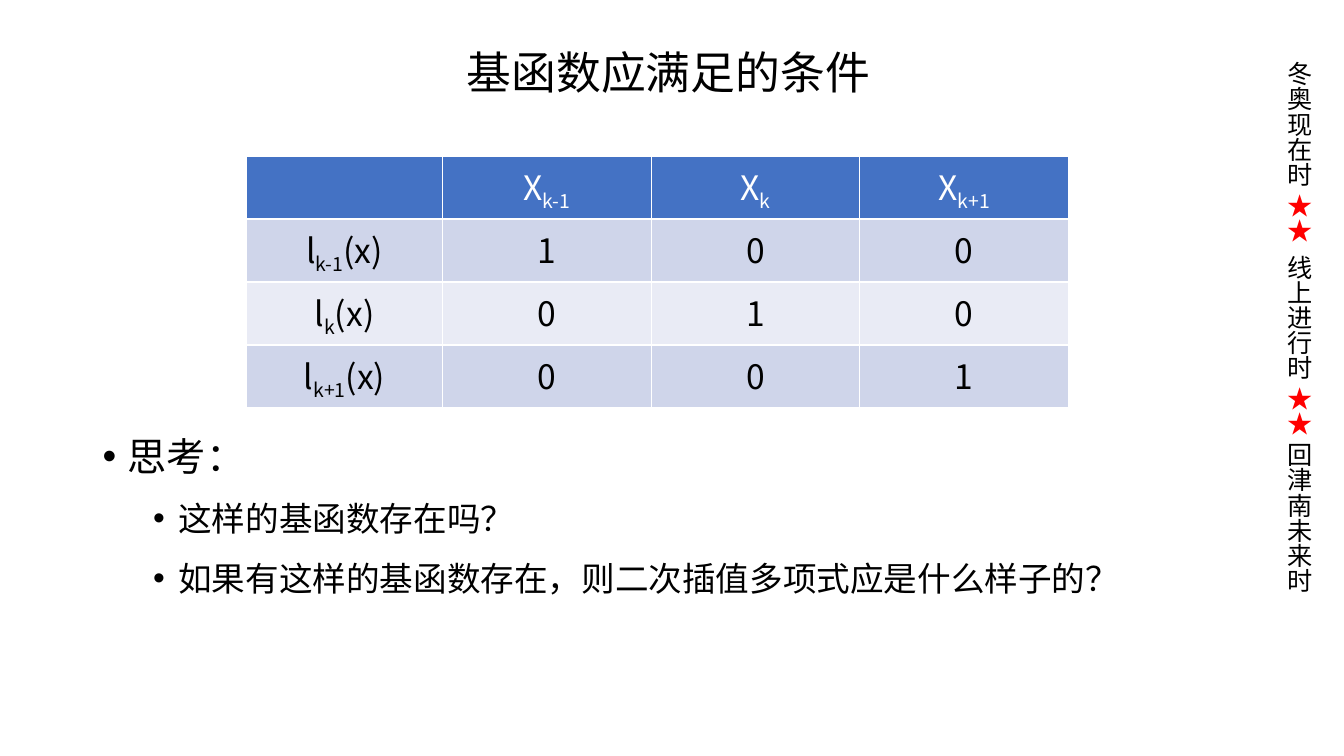
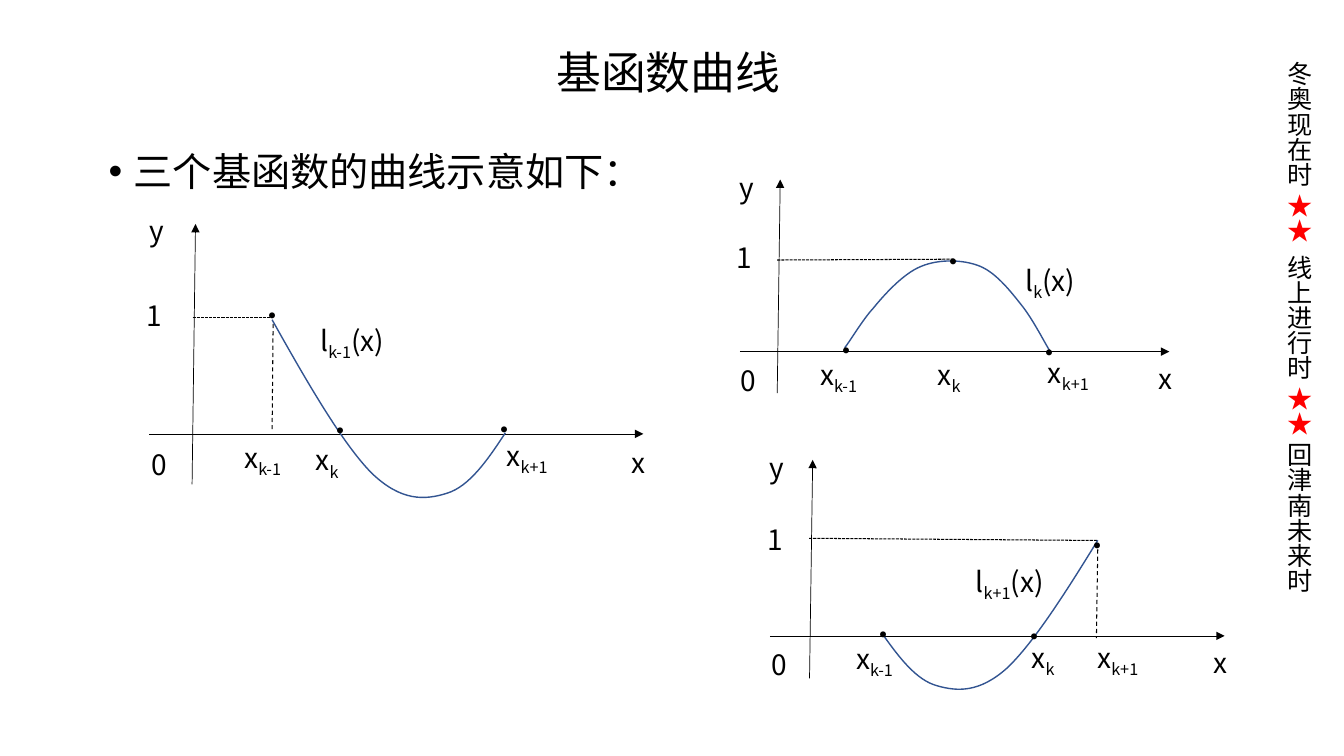
import pptx
import pptx.dml.color
import pptx.enum.dml
import pptx.enum.shapes
import pptx.enum.text
import pptx.oxml.ns
import pptx.util
from lxml import etree

Pt = pptx.util.Pt
ALIGN = pptx.enum.text.PP_ALIGN
ANCHOR = pptx.enum.text.MSO_ANCHOR
DASH = pptx.enum.dml.MSO_LINE
qn = pptx.oxml.ns.qn

FONT = "Noto Sans CJK SC"
BLACK, WHITE, RED = "000000", "FFFFFF", "FF0000"
HEADER_BLUE, BAND_DARK, BAND_LIGHT = "4472C4", "CFD5EA", "E9EBF5"
CURVE_BLUE = "325491"

# Positions inside a plot are percentages of its box, as (x, y).
AXIS_Y = 80.6
AXIS_LABELS = [("x", 99.1, 85.2), ("y", 1.5, -4.2), ("1", 1.1, 28.7), ("0", 2, 86),
               ("x_k-1", 23, 83.2), ("x_k+1", 76.5, 82.5)]
FALLING = [(24.9, 36.8), (32, 60.9), (39.2, 84.4), (45, 95.6), (51, 106.6),
           (55.8, 106.1), (60.3, 103.4), (64.8, 100.8), (68.5, 90.7), (72.1, 80.2)]
RISING = [(97 - x, y) for x, y in FALLING]
ARCH = [(72.3, 80.7), (71.1, 76.9), (68.5, 66.5), (66, 59.9), (63.4, 53.3),
        (59.9, 43.9), (55.9, 40.6), (51.9, 37.3), (46.2, 37.3), (42.3, 40.6),
        (38, 43.9), (33.3, 54.7), (31, 60.4), (28.6, 65.6), (25.6, 75.9), (24.4, 78.8)]


def rgb(value):
    return pptx.dml.color.RGBColor.from_string(value)


def write(p, text, size=20, color=BLACK, align=None, spacing=None):
    """Add text to a paragraph; parts between underscores become subscripts."""
    if align is not None:
        p.alignment = align
    for i, part in enumerate(text.split("_")):
        if not part:
            continue
        r = p.add_run()
        r.text = part
        r.font.size = Pt(size)
        r.font.bold = False
        r.font.name = FONT
        r.font.color.rgb = rgb(color)
        rPr = r.font._element
        etree.SubElement(rPr, qn("a:ea")).set("typeface", FONT)
        if i % 2:
            rPr.set("baseline", "-25000")
        if spacing:
            rPr.set("spc", str(spacing * 100))


def text_box(shapes, left, top, width, height):
    tf = shapes.add_textbox(Pt(left), Pt(top), Pt(width), Pt(height)).text_frame
    tf.word_wrap = True
    return tf


def label(shapes, text, center, top):
    tf = text_box(shapes, center - 30, top, 60, 25)
    tf.margin_left = tf.margin_right = tf.margin_top = tf.margin_bottom = 0
    write(tf.paragraphs[0], text, align=ALIGN.CENTER)


def line(shapes, start, end, width, dash=None, arrow=False):
    kind = pptx.enum.shapes.MSO_CONNECTOR.STRAIGHT
    sp = shapes.add_connector(kind, *(Pt(v) for v in (*start, *end)))
    sp.line.width = Pt(width)
    sp.line.color.rgb = rgb(BLACK)
    if dash is not None:
        sp.line.dash_style = dash
    spPr = sp._element.spPr
    if arrow:
        etree.SubElement(spPr.find(qn("a:ln")), qn("a:tailEnd")).set("type", "triangle")
    etree.SubElement(spPr, qn("a:effectLst"))


def curve(shapes, points):
    """Draw a chain of cubic curves: a start, then two handles and an end for each."""
    start, *rest = [(Pt(x), Pt(y)) for x, y in points]
    builder = shapes.build_freeform(*start)
    builder.add_line_segments(rest, close=False)
    sp = builder.convert_to_shape()
    segments = list(sp._element.iter(qn("a:lnTo")))
    outline = segments[0].getparent()
    for i in range(0, len(segments), 3):
        cubic = etree.SubElement(outline, qn("a:cubicBezTo"))
        for segment in segments[i:i + 3]:
            cubic.append(segment[0])
            outline.remove(segment)
    sp.shadow.inherit = False
    sp.fill.background()
    sp.line.color.rgb = rgb(CURVE_BLUE)
    sp.line.width = Pt(1)


def plot(slide, left, top, width, height, points, labels, dots, guides):
    shapes = slide.shapes.add_group_shape().shapes

    def at(x, y):
        return left + width * x / 100, top + height * y / 100

    line(shapes, at(0, AXIS_Y), at(100, AXIS_Y), 0.5, arrow=True)
    line(shapes, at(8.7, 100), at(9.4, 0), 0.5, arrow=True)
    for start, end, dash in guides:
        line(shapes, at(*start), at(*end), 0.75, dash)
    curve(shapes, [at(*point) for point in points])
    for text, x, y in AXIS_LABELS + labels + [("•", *dot) for dot in dots]:
        label(shapes, text, *at(x, y))


def sidebar(slide):
    tf = text_box(slide.shapes, 906.5, 28, 36, 483)
    tf._txBody.bodyPr.set("vert", "eaVert")
    tf.auto_size = pptx.enum.text.MSO_AUTO_SIZE.SHAPE_TO_FIT_TEXT
    tf.margin_top = Pt(16)
    p = tf.paragraphs[0]
    for text, color, spacing in [("冬奥现在时 ", BLACK, None), ("★★", RED, None),
                                 (" ", RED, 4), ("线上进行时 ", BLACK, None),
                                 ("★★ ", RED, None), ("回津南未来时", BLACK, None)]:
        write(p, text, size=18, color=color, spacing=spacing)


def new_slide(prs, title):
    slide = prs.slides.add_slide(prs.slide_layouts[5])
    sp = slide.shapes.title
    sp.left, sp.top, sp.width, sp.height = Pt(63.5), Pt(28), Pt(828), Pt(50.5)
    sp.text_frame.vertical_anchor = ANCHOR.MIDDLE
    p = sp.text_frame.paragraphs[0]
    p.line_spacing = 0.9
    write(p, title, size=32, align=ALIGN.CENTER)
    sidebar(slide)
    return slide


def bullets(slide, left, top, height, items):
    """Place a bullet list given as (level, text) pairs."""
    tf = text_box(slide.shapes, left, top, 828, height)
    for i, (level, text) in enumerate(items):
        p = tf.paragraphs[0] if i == 0 else tf.add_paragraph()
        p.level = level
        pPr = p._p.get_or_add_pPr()
        pPr.set("marL", str(Pt(18 + 36 * level)))
        pPr.set("indent", str(-Pt(18)))
        etree.SubElement(pPr, qn("a:buFont")).set("typeface", "Arial")
        etree.SubElement(pPr, qn("a:buChar")).set("char", "•")
        p.line_spacing = 1.3
        p.space_before = Pt(5 if i else 0)
        write(p, text, size=28 - 4 * level)


def basis_table(slide, left, top, first_width, width, row_height):
    nodes = ["k-1", "k", "k+1"]
    rows = [[""] + [f"X_{node}" for node in nodes]]
    for i, node in enumerate(nodes):
        rows.append([f"l_{node}_(x)"] + [str(int(i == j)) for j in range(3)])
    table = slide.shapes.add_table(4, 4, Pt(left), Pt(top), Pt(first_width + 3 * width),
                                   Pt(4 * row_height)).table
    for j, column in enumerate(table.columns):
        column.width = Pt(width if j else first_width)
    for i, row in enumerate(rows):
        table.rows[i].height = Pt(row_height)
        for j, text in enumerate(row):
            cell = table.cell(i, j)
            cell.fill.solid()
            cell.fill.fore_color.rgb = rgb(
                HEADER_BLUE if i == 0 else BAND_DARK if i % 2 else BAND_LIGHT)
            write(cell.text_frame.paragraphs[0], text, size=24,
                  color=BLACK if i else WHITE, align=ALIGN.CENTER)


def conditions_slide(prs):
    slide = new_slide(prs, "基函数应满足的条件")
    bullets(slide, 66.25, 295, 150, [
        (0, "思考："),
        (1, "这样的基函数存在吗？"),
        (1, "如果有这样的基函数存在，则二次插值多项式应是什么样子的？"),
    ])
    basis_table(slide, 176, 111.5, 140.25, 149, 45)


def curves_slide(prs):
    slide = new_slide(prs, "基函数曲线")
    bullets(slide, 70.5, 91.5, 54, [(0, "三个基函数的曲线示意如下：")])
    plot(slide, 106.5, 160, 353, 186, FALLING,
         labels=[("x_k", 36, 84.1), ("l_k-1_(x)", 41.1, 38.4)],
         dots=[(24.9, 28.7), (38.8, 72.9), (72, 72.5)],
         guides=[((8.8, 36), (24.5, 36), DASH.SQUARE_DOT),
                 ((25.1, 38.4), (24.9, 79.1), DASH.DASH)])
    plot(slide, 550, 328.5, 324.75, 156, RISING,
         labels=[("x_k", 60.1, 82.5), ("l_k+1_(x)", 52.7, 47.9)],
         dots=[(24.9, 72.4), (58.2, 73.3), (72, 31.3)],
         guides=[((8.6, 35.9), (72.1, 36.9), DASH.SQUARE_DOT),
                 ((72.1, 41), (71.8, 81.6), DASH.DASH)])
    plot(slide, 528.5, 128.25, 306.75, 152.5, ARCH,
         labels=[("x_k", 48.7, 83.5), ("l_k_(x)", 72.3, 39.2)],
         dots=[(24.8, 72.2), (49.7, 30.2), (72, 73.1)],
         guides=[((8.7, 37.7), (49.8, 37.3), DASH.SQUARE_DOT)])


def main():
    prs = pptx.Presentation()
    prs.slide_width, prs.slide_height = Pt(960), Pt(540)
    conditions_slide(prs)
    curves_slide(prs)
    prs.save("out.pptx")


if __name__ == "__main__":
    main()
